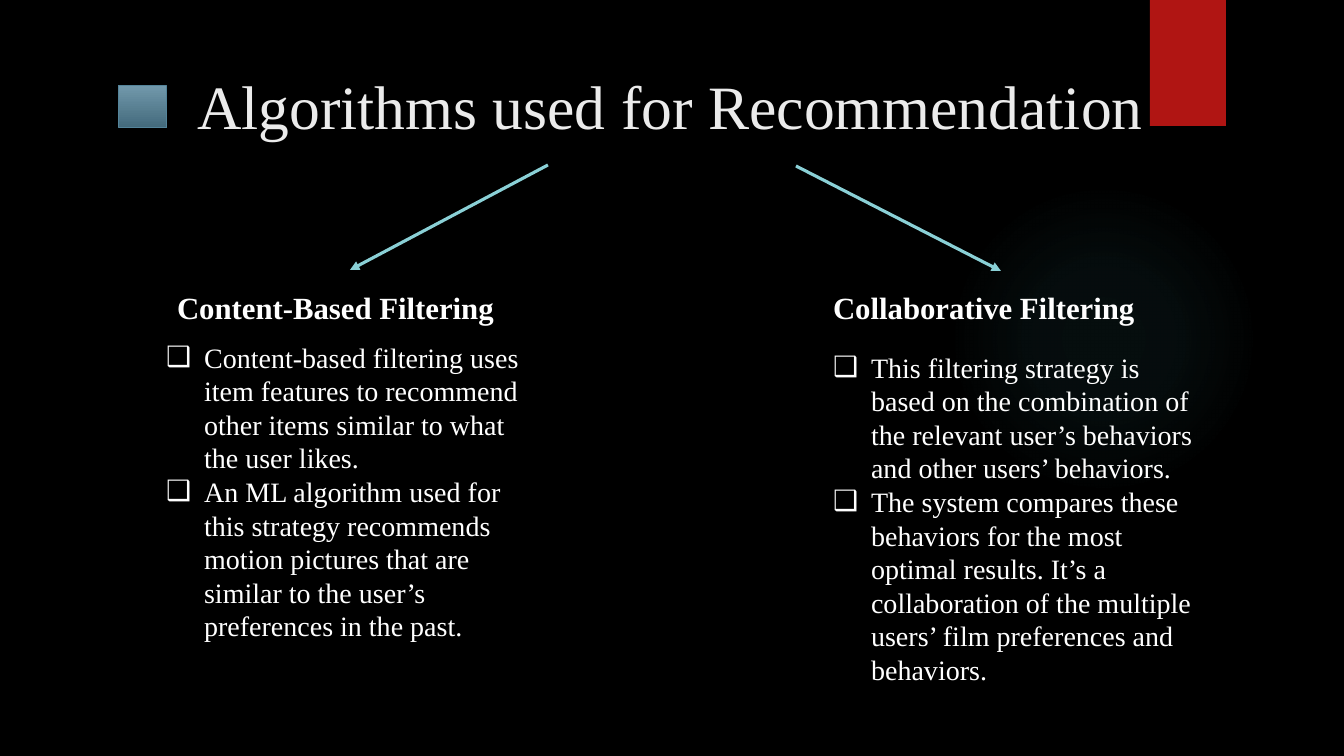
import pptx
import pptx.util
import pptx.dml.color
import pptx.enum.shapes
import pptx.enum.text
import pptx.oxml
import pptx.oxml.ns

PX = 914400 / 100.8
COLOURS = {
    "background": "000000", "glow": "50B9C1", "bar": "B01513",
    "title": "EBEBEB", "text": "FFFFFF", "arrow": "8AD0D6",
    "square_top": "7198AB", "square_bottom": "436A7C", "square_line": "54849A",
}
COLUMNS = [
    ("Content-Based Filtering", (167, 284, 405, 47), (156, 335, 392, 316), [
        "Content-based filtering uses item features to recommend other items "
        "similar to what the user likes.",
        "An ML algorithm used for this strategy recommends motion pictures that "
        "are similar to the user’s preferences in the past.",
    ]),
    ("Collaborative Filtering", (823, 284, 405, 47), (823, 345, 392, 350), [
        "This filtering strategy is based on the combination of the relevant "
        "user’s behaviors and other users’ behaviors.",
        "The system compares these behaviors for the most optimal results. It’s a "
        "collaboration of the multiple users’ film preferences and behaviors.",
    ]),
]


def px(length):
    return pptx.util.Emu(round(length * PX))


def colour(name):
    return pptx.dml.color.RGBColor.from_string(COLOURS[name])


def element(xml):
    opening, rest = xml.split(">", 1)
    slash = "/" if opening.endswith("/") else ""
    opening = opening.rstrip("/")
    return pptx.oxml.parse_xml(f'{opening} {pptx.oxml.ns.nsdecls("a")}{slash}>{rest}')


class SlideBuilder:
    """Draws styled elements on the current slide."""

    def __init__(self, page, font):
        self.page = page
        self.font = font
        page.background.fill.solid()
        page.background.fill.fore_color.rgb = colour("background")

    def text(self, index, bounds, lines, size, tint="text", bold=False, bullet=None):
        box = self.page.placeholders[index]
        box.left, box.top, box.width, box.height = map(px, bounds)
        frame = box.text_frame
        frame.text = "\n".join(lines)
        frame.word_wrap = True
        frame.auto_size = pptx.enum.text.MSO_AUTO_SIZE.NONE
        frame.vertical_anchor = pptx.enum.text.MSO_ANCHOR.TOP
        for para in frame.paragraphs:
            para.alignment = pptx.enum.text.PP_ALIGN.LEFT
            para.space_before = pptx.util.Pt(0)
            if bullet:
                properties = para._p.get_or_add_pPr()
                properties.set("marL", str(px(38)))
                properties.set("indent", str(px(-38)))
                properties.append(element(f'<a:buChar char="{bullet}"/>'))
            for span in para.runs:
                span.font.name = self.font
                span.font.size = pptx.util.Pt(size)
                span.font.bold = bold
                span.font.color.rgb = colour(tint)

    def shape(self, kind, bounds):
        shape = self.page.shapes.add_shape(kind, *map(px, bounds))
        shape.shadow.inherit = False
        shape.line.fill.background()
        return shape

    def bar(self, bounds):
        bar = self.shape(pptx.enum.shapes.MSO_SHAPE.RECTANGLE, bounds)
        bar.fill.solid()
        bar.fill.fore_color.rgb = colour("bar")

    def square(self, bounds):
        square = self.shape(pptx.enum.shapes.MSO_SHAPE.RECTANGLE, bounds)
        square.fill.gradient()
        square.fill.gradient_angle = 270
        for stop, name in zip(square.fill.gradient_stops, ("square_top", "square_bottom")):
            stop.color.rgb = colour(name)
        square.line.color.rgb = colour("square_line")
        square.line.width = pptx.util.Pt(0.75)

    def glow(self, bounds, stops):
        glow = self.shape(pptx.enum.shapes.MSO_SHAPE.OVAL, bounds)
        glow.fill.background()
        marks = "".join(
            f'<a:gs pos="{position * 1000}"><a:srgbClr val="{COLOURS["glow"]}">'
            f'<a:alpha val="{alpha * 1000}"/></a:srgbClr></a:gs>'
            for position, alpha in stops)
        gradient = element(
            f'<a:gradFill><a:gsLst>{marks}</a:gsLst><a:path path="circle">'
            '<a:fillToRect l="50000" t="50000" r="50000" b="50000"/></a:path></a:gradFill>')
        properties = glow._element.spPr
        properties.replace(properties.find(pptx.oxml.ns.qn("a:noFill")), gradient)
        self.page.shapes._spTree.insert(2, glow._element)

    def arrow(self, start, end):
        arrow = self.page.shapes.add_connector(
            pptx.enum.shapes.MSO_CONNECTOR.STRAIGHT, *map(px, start + end))
        arrow.line.color.rgb = colour("arrow")
        arrow.line.width = pptx.util.Pt(2.25)
        arrow.line._get_or_add_ln().append(element('<a:tailEnd type="triangle"/>'))
        arrow._element.spPr.append(element("<a:effectLst/>"))


def main():
    deck = pptx.Presentation()
    deck.slide_width, deck.slide_height = px(1344), px(756)
    comparison_layout = deck.slide_layouts[4]
    builder = SlideBuilder(deck.slides.add_slide(comparison_layout), "Times New Roman")
    builder.glow((949, 184, 310, 310), [(0, 7), (36, 6), (69, 0)])
    builder.bar((1150, 0, 76, 126))
    builder.text(0, (187, 63, 1004, 154), ["Algorithms used for Recommendation"], 44, "title")
    builder.square((119, 86, 48, 42))
    builder.arrow((548, 165), (350, 270))
    builder.arrow((796, 166), (1001, 271))
    for column, (heading, heading_bounds, list_bounds, points) in enumerate(COLUMNS):
        builder.text(1 + 2 * column, heading_bounds, [heading], 22, bold=True)
        builder.text(2 + 2 * column, list_bounds, points, 20, bullet="❑")
    deck.save("out.pptx")


if __name__ == "__main__":
    main()
